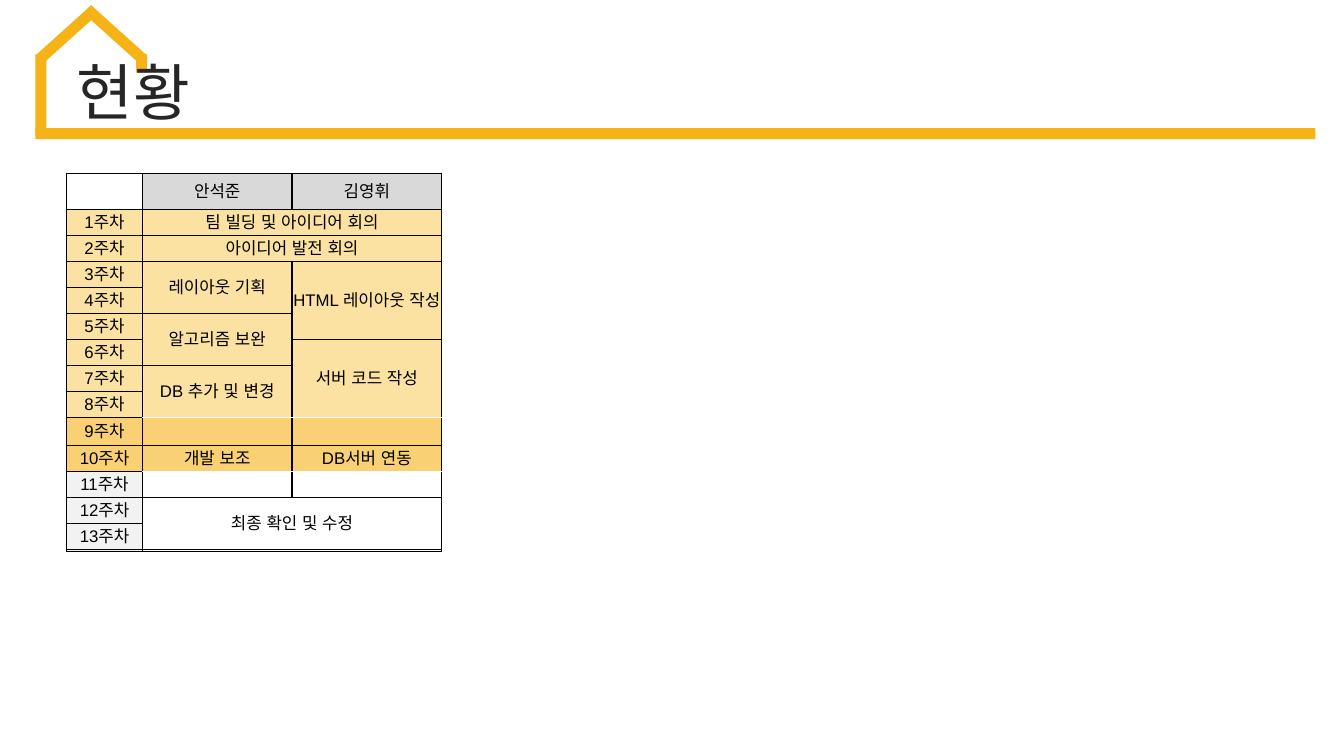
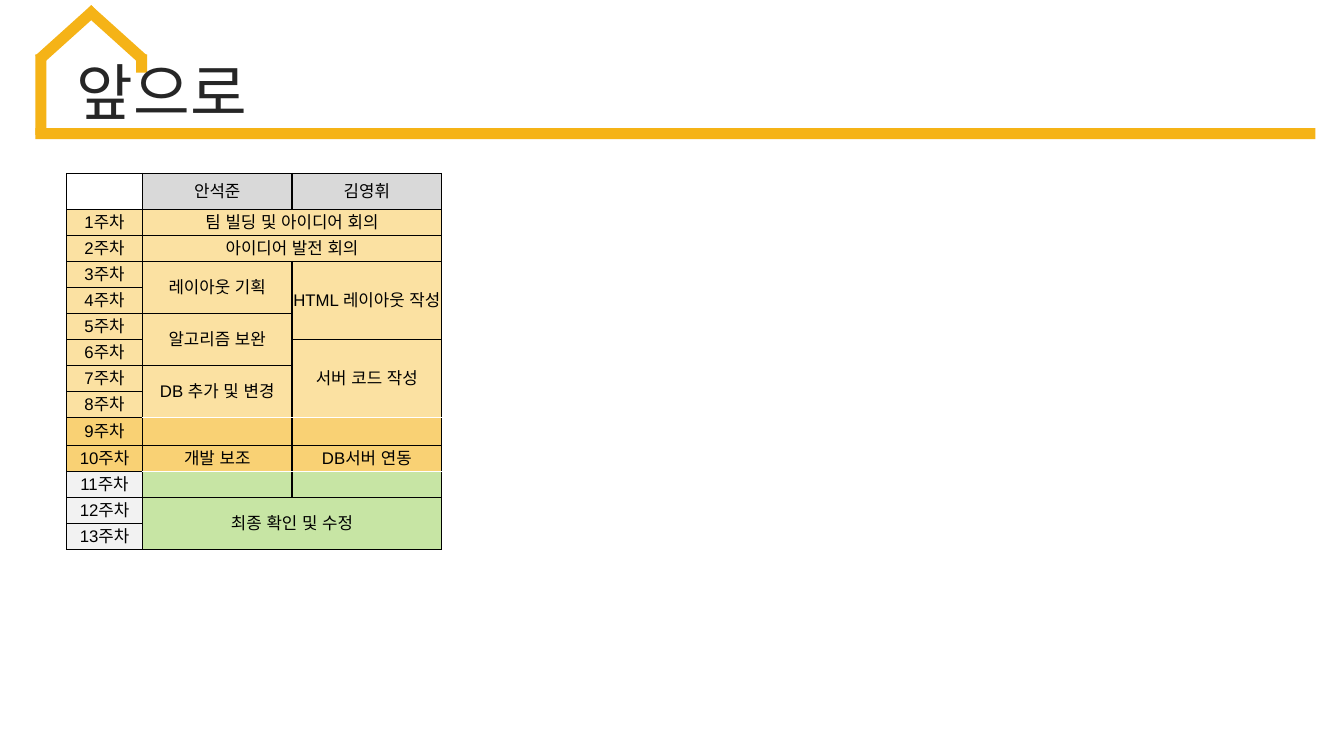
import pptx
import pptx.util
import pptx.dml.color
import pptx.enum.shapes
import pptx.enum.text
import pptx.oxml.ns
from lxml import etree

Cm = pptx.util.Cm
Pt = pptx.util.Pt
RGBColor = pptx.dml.color.RGBColor
MSO_SHAPE = pptx.enum.shapes.MSO_SHAPE
MSO_ANCHOR = pptx.enum.text.MSO_ANCHOR
MSO_AUTO_SIZE = pptx.enum.text.MSO_AUTO_SIZE
PP_ALIGN = pptx.enum.text.PP_ALIGN
qn = pptx.oxml.ns.qn

# Shared look
FONT = "Arial"
AMBER = RGBColor(0xF5, 0xB3, 0x17)
INK = RGBColor(0x26, 0x26, 0x26)
BLACK = RGBColor(0, 0, 0)
WHITE = RGBColor(0xFF, 0xFF, 0xFF)
HEADER = RGBColor(0xD9, 0xD9, 0xD9)
WEEK = RGBColor(0xF2, 0xF2, 0xF2)
DONE = RGBColor(0xFB, 0xE1, 0xA2)
CURRENT = RGBColor(0xF9, 0xD1, 0x74)
NEXT = RGBColor(0xC7, 0xE5, 0xA4)

# Schedule: centimetres, and tasks as row, column, rows, columns, text
COLS = [1.91, 3.77, 3.77]
ROWS = [0.91] + [0.66, 0.65] * 4 + [0.71] + [0.66, 0.65] * 2
MEMBERS = ["안석준", "김영휘"]
TASKS = [
    (1, 1, 1, 2, "팀 빌딩 및 아이디어 회의"),
    (2, 1, 1, 2, "아이디어 발전 회의"),
    (3, 1, 2, 1, "레이아웃 기획"),
    (3, 2, 3, 1, "HTML 레이아웃 작성"),
    (5, 1, 2, 1, "알고리즘 보완"),
    (6, 2, 3, 1, "서버 코드 작성"),
    (7, 1, 2, 1, "DB 추가 및 변경"),
    (9, 1, 1, 1, ""),
    (9, 2, 1, 1, ""),
    (10, 1, 1, 1, "개발 보조"),
    (10, 2, 1, 1, "DB서버 연동"),
    (11, 1, 1, 1, ""),
    (11, 2, 1, 1, ""),
    (12, 1, 2, 2, "최종 확인 및 수정"),
]
OPEN_TOPS = {9, 11}  # task rows that run on from the row above


def add_text(p, text, size, color):
    r = p.add_run()
    r.text = text
    r.font.name = FONT
    r.font.size = Pt(size)
    r.font.color.rgb = color
    return r


def add_house(slide, layout, x, y):
    """House outline with its long ground line, kept on the layout."""
    bars = [  # left, top, width, height, rotation
        (0, 3.23, 32.26, 0.28, 0),
        (0, 1.37, 0.28, 2.03, 0),
        (2.54, 1.37, 0.28, 0.46, 0),
        (0.66, -0.08, 0.28, 1.9, 48),
        (1.88, -0.08, 0.28, 1.9, 312),
    ]
    for left, top, width, height, angle in bars:
        sp = slide.shapes.add_shape(MSO_SHAPE.RECTANGLE, Cm(x + left), Cm(y + top),
                                    Cm(width), Cm(height))
        sp.rotation = angle
        sp.shadow.inherit = False
        sp.fill.solid()
        sp.fill.fore_color.rgb = AMBER
        sp.line.fill.background()
        layout.shapes._spTree.append(sp._element)


def add_title(slide, text, x, y, width, height):
    sp = slide.shapes.title
    sp.left, sp.top, sp.width, sp.height = Cm(x), Cm(y), Cm(width), Cm(height)
    tf = sp.text_frame
    tf.auto_size = MSO_AUTO_SIZE.NONE
    tf.vertical_anchor = MSO_ANCHOR.MIDDLE
    p = tf.paragraphs[0]
    p.alignment = PP_ALIGN.LEFT
    p.line_spacing = 0.9
    p.space_before = Pt(10)
    add_text(p, text, 44, INK)


def set_borders(cell, sides):
    tcPr = cell._tc.get_or_add_tcPr()
    for side in sides:
        ln = etree.SubElement(tcPr, qn("a:ln" + side), w=str(Pt(1)))
        fill = etree.SubElement(ln, qn("a:solidFill"))
        etree.SubElement(fill, qn("a:srgbClr"), val=str(BLACK))


def fill_block(table, row, col, rows, cols, text, color):
    """Format one cell or merged block; open edges get no border."""
    is_task = row > 0 and col > 0
    sides = "LR"
    if not (is_task and row in OPEN_TOPS):
        sides += "T"
    if not (is_task and row + rows in OPEN_TOPS):
        sides += "B"
    for i in range(rows):
        for j in range(cols):
            cell = table.cell(row + i, col + j)
            set_borders(cell, sides)
            cell.fill.solid()
            cell.fill.fore_color.rgb = color
            cell.margin_left = cell.margin_right = 0
            cell.margin_top = cell.margin_bottom = 0
            cell.vertical_anchor = MSO_ANCHOR.MIDDLE
            p = cell.text_frame.paragraphs[0]
            p.alignment = PP_ALIGN.CENTER
            if i == j == 0 and text:
                r = add_text(p, text, 12, BLACK)
                etree.SubElement(r.font._element, qn("a:ea"), typeface=FONT)
            else:  # keeps empty rows from growing
                etree.SubElement(p._p, qn("a:endParaRPr"), sz="1200")
    if rows * cols > 1:
        table.cell(row, col).merge(table.cell(row + rows - 1, col + cols - 1))


def add_schedule(slide, x, y, current, future, week9=ROWS[9]):
    """Weekly plan; current colours weeks 9 and 10, future the tasks after."""
    heights = ROWS[:9] + [week9] + ROWS[10:]

    def state(row, later):
        if row < 9:
            return DONE
        return current if current and row < 11 else later

    frame = slide.shapes.add_table(len(heights), len(COLS), Cm(x), Cm(y),
                                   Cm(sum(COLS)), Cm(sum(heights)))
    table = frame.table
    table.first_row = table.horz_banding = False
    for column, width in zip(table.columns, COLS):
        column.width = Cm(width)
    for row, height in zip(table.rows, heights):
        row.height = Cm(height)

    # Header row, week column, tasks
    fill_block(table, 0, 0, 1, 1, "", WHITE)
    for col, name in enumerate(MEMBERS, 1):
        fill_block(table, 0, col, 1, 1, name, HEADER)
    for week in range(1, len(heights)):
        fill_block(table, week, 0, 1, 1, f"{week}주차", state(week, WEEK))
    for row, col, rows, cols, text in TASKS:
        fill_block(table, row, col, rows, cols, text, state(row, future))


def main():
    prs = pptx.Presentation()
    prs.slide_width, prs.slide_height = Cm(33.87), Cm(19.05)
    layout = prs.slide_layouts[5]
    left, top = 1.68, 4.37
    for title, future in [("현황", WHITE), ("앞으로", NEXT)]:
        s = prs.slides.add_slide(layout)
        add_title(s, title, left, 1.4, 31.37, 2.01)
        if len(prs.slides) == 1:
            add_house(s, layout, 0.89, 0)
            # Earlier plan, whose lower edge shows below the current one
            add_schedule(s, left, top, None, WHITE, week9=0.76)
        add_schedule(s, left, top, CURRENT, future)
    prs.save("out.pptx")


if __name__ == "__main__":
    main()
